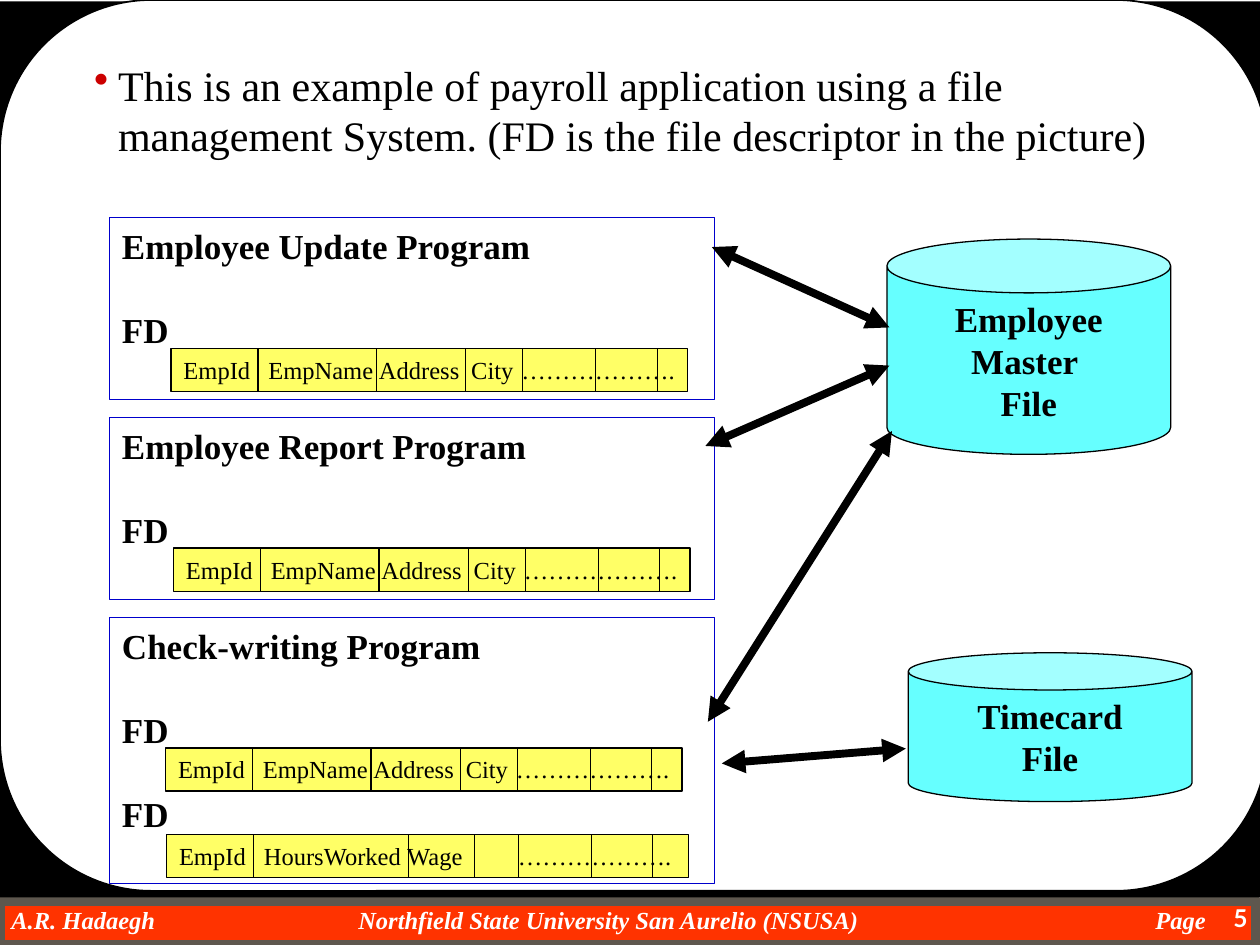
from dataclasses import dataclass
from typing import Optional

from lxml import etree
from pptx import Presentation
from pptx.dml.color import RGBColor
from pptx.enum.shapes import MSO_CONNECTOR, MSO_SHAPE
from pptx.enum.text import MSO_ANCHOR, PP_ALIGN
from pptx.oxml.ns import qn
from pptx.util import Cm, Pt

RECT, ROUND, CAN = MSO_SHAPE.RECTANGLE, MSO_SHAPE.ROUNDED_RECTANGLE, MSO_SHAPE.CAN
STRAIGHT = MSO_CONNECTOR.STRAIGHT
LEFT, CENTER, RIGHT = PP_ALIGN.LEFT, PP_ALIGN.CENTER, PP_ALIGN.RIGHT
TOP, MIDDLE = MSO_ANCHOR.TOP, MSO_ANCHOR.MIDDLE

BLACK = RGBColor(0x00, 0x00, 0x00)
WHITE = RGBColor(0xFF, 0xFF, 0xFF)
ORANGE = RGBColor(0xFF, 0x33, 0x00)
GRAY = RGBColor(0x5E, 0x57, 0x4E)
BLUE = RGBColor(0x00, 0x00, 0xCC)
CYAN = RGBColor(0x66, 0xFF, 0xFF)
YELLOW = RGBColor(0xFF, 0xFF, 0x66)
SERIF, SANS = "Times New Roman", "Lato"
INSET = 0.25


@dataclass
class Program:
    title: str
    height: float
    records: int = 1


@dataclass
class Record:
    left: float
    top: float
    fields: list[str]
    tabs: list[float]
    dividers: list[float]
    width: float = 10.41


@dataclass
class DataFile:
    label: list[str]
    left: float
    top: float
    height: float


@dataclass
class Arrow:
    start: tuple[float, float]
    end: tuple[float, float]


EMPLOYEE = dict(fields=["EmpId", "EmpName", "Address", "City", "………………."],
                tabs=[1.71, 3.94, 5.8, 6.81],
                dividers=[1.75, 4.14, 5.94, 7.09, 8.56, 9.8])
TIMECARD = dict(fields=["EmpId", "HoursWorked", "Wage", "………………."],
                tabs=[1.71, 4.6, 6.83],
                dividers=[1.75, 4.88, 6.2, 7.09, 8.56, 9.8])

PROGRAMS = [Program("Employee Update Program", 3.66),
            Program("Employee Report Program", 3.66),
            Program("Check-writing Program", 5.36, records=2)]
RECORDS = [Record(3.45, 7.03, **EMPLOYEE),
           Record(3.5, 11.05, **EMPLOYEE),
           Record(3.34, 15.08, **EMPLOYEE),
           Record(3.36, 16.82, width=10.52, **TIMECARD)]
FILES = [DataFile(["Employee", "Master ", "File"], 17.88, 4.82, 4.34),
         DataFile(["Timecard", "File"], 18.31, 13.16, 3)]
ARROWS = [Arrow((18.26, 15.09), (14.55, 15.39)),
          Arrow((17.98, 8.69), (14.27, 14.55)),
          Arrow((17.93, 7.37), (14.22, 8.99)),
          Arrow((17.93, 6.6), (14.35, 4.98))]

deck = Presentation()
deck.slide_width, deck.slide_height = Cm(25.4), Cm(19.05)
page = deck.slides.add_slide(deck.slide_layouts[6])


def add_box(kind, left: float, top: float, width: float, height: float,
            fill: Optional[RGBColor] = None, line: Optional[RGBColor] = None,
            weight: float = 0.75):
    box = page.shapes.add_shape(kind, Cm(left), Cm(top), Cm(width), Cm(height))
    box.shadow.inherit = False
    if fill is None:
        box.fill.background()
    else:
        box.fill.solid()
        box.fill.fore_color.rgb = fill
    if line is None:
        box.line.fill.background()
    else:
        box.line.color.rgb = line
        box.line.width = Pt(weight)
    return box


def add_text_box(left: float, top: float, width: float, height: float):
    return page.shapes.add_textbox(Cm(left), Cm(top), Cm(width), Cm(height))


def write(box, lines: list[str], size: float = 20, font: str = SERIF,
          color: RGBColor = BLACK, bold: bool = False, italic: bool = False,
          align=LEFT, anchor=TOP, gap: float = 0,
          side: float = INSET, edge: float = 0.13) -> None:
    """Write one paragraph per line, with a gap in points between them."""
    frame = box.text_frame
    frame.word_wrap = True
    frame.vertical_anchor = anchor
    frame.margin_left = frame.margin_right = Cm(side)
    frame.margin_top = frame.margin_bottom = Cm(edge)
    for number, line in enumerate(lines):
        para = frame.add_paragraph() if number else frame.paragraphs[0]
        para.alignment = align
        if number and gap:
            para.space_before = Pt(gap)
        span = para.add_run()
        span.text = line
        span.font.name, span.font.size = font, Pt(size)
        span.font.bold, span.font.italic = bold, italic
        span.font.color.rgb = color


def add_line(start: tuple[float, float], end: tuple[float, float],
             weight: float = 0.75, arrows: bool = False) -> None:
    line = page.shapes.add_connector(STRAIGHT, *map(Cm, start + end))
    line.line.color.rgb = BLACK
    line.line.width = Pt(weight)
    properties = line._element.spPr
    if arrows:
        outline = properties.find(qn("a:ln"))
        for tip in ("a:headEnd", "a:tailEnd"):
            etree.SubElement(outline, qn(tip), type="triangle")
    etree.SubElement(properties, qn("a:effectLst"))


def add_bullet(box, mark: str, color: RGBColor, indent: float) -> None:
    settings = box.text_frame.paragraphs[0]._p.get_or_add_pPr()
    settings.set("marL", str(Cm(indent)))
    settings.set("indent", str(-Cm(indent)))
    tint = etree.SubElement(settings, qn("a:buClr"))
    etree.SubElement(tint, qn("a:srgbClr"), val=str(color))
    etree.SubElement(settings, qn("a:buChar"), char=mark)


def add_record(record: Record) -> None:
    height = 0.87
    box = add_box(RECT, record.left, record.top, record.width, height, YELLOW, BLACK)
    write(box, ["\t".join(record.fields)], size=14)
    box.text_frame.margin_right = 0
    settings = box.text_frame.paragraphs[0]._p.get_or_add_pPr()
    stops = etree.SubElement(settings, qn("a:tabLst"))
    for tab in record.tabs:
        etree.SubElement(stops, qn("a:tab"), pos=str(Cm(tab)), algn="l")
    for offset in record.dividers:
        x = record.left + offset
        add_line((x, record.top), (x, record.top + height))


# Frame and footer
add_box(RECT, 0, 18.16, 25.32, 0.89, ORANGE, GRAY, weight=6)
add_box(RECT, 0, 0.03, 25.4, 18.06, BLACK)
panel = add_box(ROUND, 0, 0, 25.55, 17.96, WHITE, BLACK, weight=1)
panel.adjustments[0] = 0.17
for label, align in (("A.R. Hadaegh", LEFT),
                     ("Northfield State University San Aurelio (NSUSA)", CENTER),
                     ("Page", RIGHT)):
    write(add_text_box(0.23, 18.24, 24.08, 0.58), [label], size=14, color=WHITE,
          bold=True, italic=True, align=align, side=0, edge=0)
write(add_text_box(23.5, 18.08, 1.9, 0.97), ["5"], size=14, font=SANS,
      color=WHITE, bold=True, align=RIGHT)

# Introduction
intro = add_text_box(1.65, 1.07, 22.76, 2.29)
write(intro, ["This is an example of payroll application using a file management "
              "System. (FD is the file descriptor in the picture)"], size=24)
add_bullet(intro, "•", RGBColor(0xCC, 0x00, 0x00), 0.48)

# Programs, stacked with equal gaps
program_top = 4.39
for program in PROGRAMS:
    box = add_box(RECT, 2.21, program_top, 12.19, program.height, line=BLUE)
    write(box, [program.title] + ["FD"] * program.records, bold=True, gap=24)
    program_top += program.height + 0.37

# Data files
for file in FILES:
    can = add_box(CAN, file.left, file.top, 5.72, file.height, CYAN, BLACK)
    can.adjustments[0] = 0.25
    write(can, file.label, bold=True, align=CENTER, anchor=MIDDLE)

# Arrows between programs and files
for arrow in ARROWS:
    add_line(arrow.start, arrow.end, weight=4.5, arrows=True)

# File descriptor records
for record in RECORDS:
    add_record(record)

deck.save("out.pptx")
